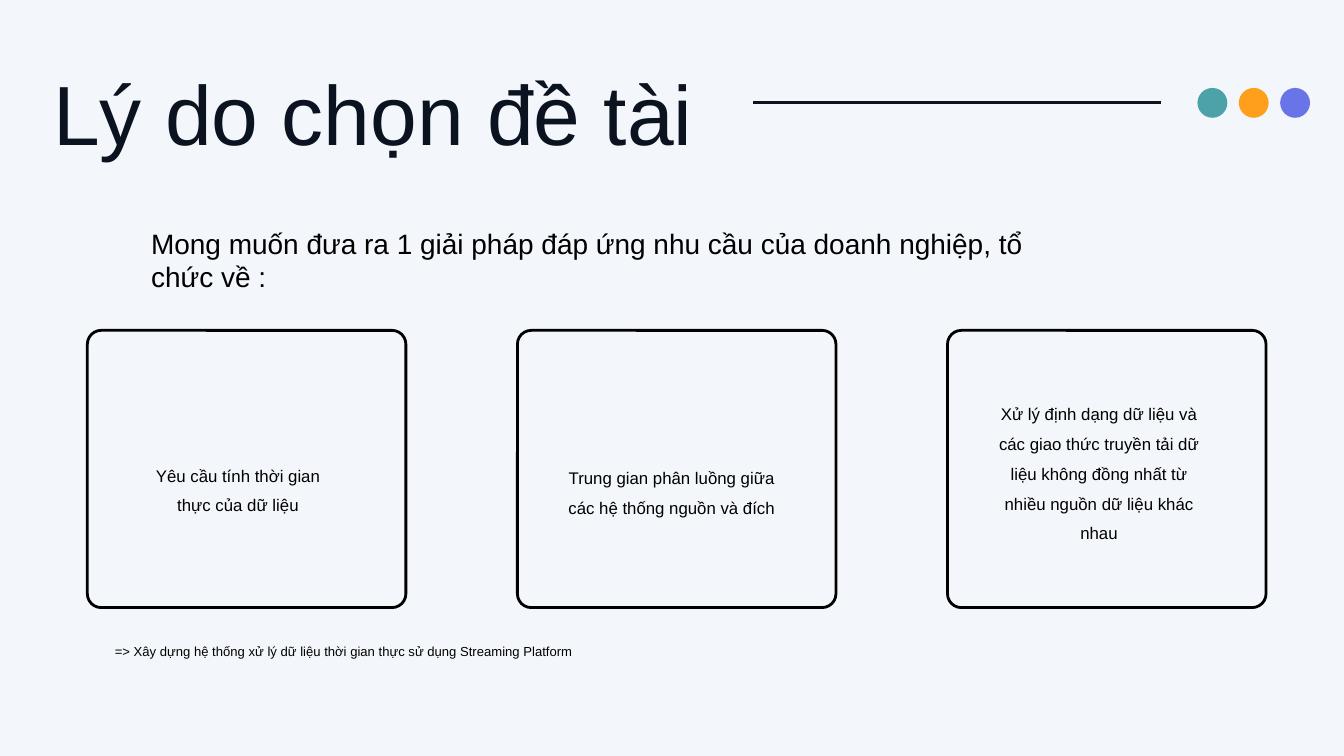
from dataclasses import dataclass

from lxml import etree
from pptx import Presentation
from pptx.dml.color import RGBColor
from pptx.enum.shapes import MSO_CONNECTOR, MSO_SHAPE
from pptx.enum.text import MSO_ANCHOR, PP_ALIGN
from pptx.oxml.ns import qn
from pptx.slide import Slide
from pptx.util import Pt

ROUNDED, OVAL = MSO_SHAPE.ROUNDED_RECTANGLE, MSO_SHAPE.OVAL
STRAIGHT = MSO_CONNECTOR.STRAIGHT
TOP, MIDDLE = MSO_ANCHOR.TOP, MSO_ANCHOR.MIDDLE
LEFT, CENTER = PP_ALIGN.LEFT, PP_ALIGN.CENTER

FONT = "Arial"
COLORS = {
    "background": "F3F6FA",
    "navy": "0B1320",
    "black": "000000",
    "teal": "4DA1A9",
    "orange": "FF9F1C",
    "violet": "6874E8",
}
STROKE = 3
CARD_LEFT, CARD_TOP, CARD_PITCH = 93.6, 354, 460.8
CARD_WIDTH, CARD_HEIGHT, CARD_ROUNDING = 341.3, 297, 0.05
DOT_LEFT, DOT_TOP, DOT_PITCH, DOT_SIZE = 1283, 94.2, 44.3, 32


@dataclass(frozen=True)
class Box:
    left: float
    top: float
    width: float
    height: float

    def emu(self) -> tuple[Pt, Pt, Pt, Pt]:
        return Pt(self.left), Pt(self.top), Pt(self.width), Pt(self.height)


@dataclass(frozen=True)
class Style:
    size: float
    color: str = "black"
    inset_x: float = 7.2
    inset_y: float = 3.6
    line_spacing: float = 1.0
    align: PP_ALIGN = LEFT
    anchor: MSO_ANCHOR = TOP


@dataclass(frozen=True)
class Need:
    text: str
    box: Box


TITLE_STYLE = Style(90, "navy", inset_x=0, inset_y=0, line_spacing=1.2)
INTRO_STYLE = Style(30)
NEED_STYLE = Style(18, inset_x=4, inset_y=4, line_spacing=1.48,
                   align=CENTER, anchor=MIDDLE)
CONCLUSION_STYLE = Style(14)

NEEDS = [
    Need("Yêu cầu tính thời gian thực của dữ liệu",
         Box(162, 393.1, 185.8, 254.2)),
    Need("Trung gian phân luồng giữa các hệ thống nguồn và đích",
         Box(598.3, 395.3, 242.6, 254.2)),
    Need("Xử lý định dạng dữ liệu và các giao thức truyền tải dữ liệu "
         "không đồng nhất từ nhiều nguồn dữ liệu khác nhau",
         Box(1056.2, 375.1, 242.6, 254.2)),
]


def rgb(name: str) -> RGBColor:
    return RGBColor.from_string(COLORS[name])


def add_text(slide: Slide, box: Box, text: str, style: Style) -> None:
    frame = slide.shapes.add_textbox(*box.emu()).text_frame
    frame.word_wrap = True
    frame.vertical_anchor = style.anchor
    frame.margin_left = frame.margin_right = Pt(style.inset_x)
    frame.margin_top = frame.margin_bottom = Pt(style.inset_y)
    paragraph = frame.paragraphs[0]
    paragraph.alignment = style.align
    paragraph.line_spacing = style.line_spacing
    run = paragraph.add_run()
    run.text = text
    run.font.name = FONT
    run.font.size = Pt(style.size)
    run.font.color.rgb = rgb(style.color)


def add_card(slide: Slide, left: float) -> None:
    box = Box(left, CARD_TOP, CARD_WIDTH, CARD_HEIGHT)
    card = slide.shapes.add_shape(ROUNDED, *box.emu())
    card.adjustments[0] = CARD_ROUNDING
    card.shadow.inherit = False
    card.fill.background()
    card.line.color.rgb = rgb("black")
    card.line.width = Pt(STROKE)


def add_dot(slide: Slide, left: float, color: str) -> None:
    box = Box(left, DOT_TOP, DOT_SIZE, DOT_SIZE)
    dot = slide.shapes.add_shape(OVAL, *box.emu())
    dot.shadow.inherit = False
    dot.fill.solid()
    dot.fill.fore_color.rgb = rgb(color)
    dot.line.fill.background()


def add_rule(slide: Slide, start: float, end: float, y: float) -> None:
    rule = slide.shapes.add_connector(STRAIGHT, Pt(start), Pt(y), Pt(end), Pt(y))
    rule.line.color.rgb = rgb("navy")
    rule.line.width = Pt(STROKE)
    etree.SubElement(rule._element.spPr, qn("a:effectLst"))


def main() -> None:
    deck = Presentation()
    deck.slide_width, deck.slide_height = Pt(1440), Pt(810)
    slide = deck.slides.add_slide(deck.slide_layouts[6])
    slide.background.fill.solid()
    slide.background.fill.fore_color.rgb = rgb("background")

    add_text(slide, Box(56.9, 43.9, 738.7, 131), "Lý do chọn đề tài", TITLE_STYLE)
    add_rule(slide, 807, 1243.5, 110.2)
    for index, color in enumerate(("teal", "orange", "violet")):
        add_dot(slide, DOT_LEFT + index * DOT_PITCH, color)

    add_text(slide, Box(154.8, 239, 998.6, 80),
             "Mong muốn đưa ra 1 giải pháp đáp ứng nhu cầu của doanh nghiệp, "
             "tổ chức về :", INTRO_STYLE)
    for index, need in enumerate(NEEDS):
        add_card(slide, CARD_LEFT + index * CARD_PITCH)
        add_text(slide, need.box, need.text, NEED_STYLE)
    add_text(slide, Box(115.9, 686.2, 1211.8, 24.5),
             "=> Xây dựng hệ thống xử lý dữ liệu thời gian thực "
             "sử dụng Streaming Platform", CONCLUSION_STYLE)

    deck.save("out.pptx")


if __name__ == "__main__":
    main()
